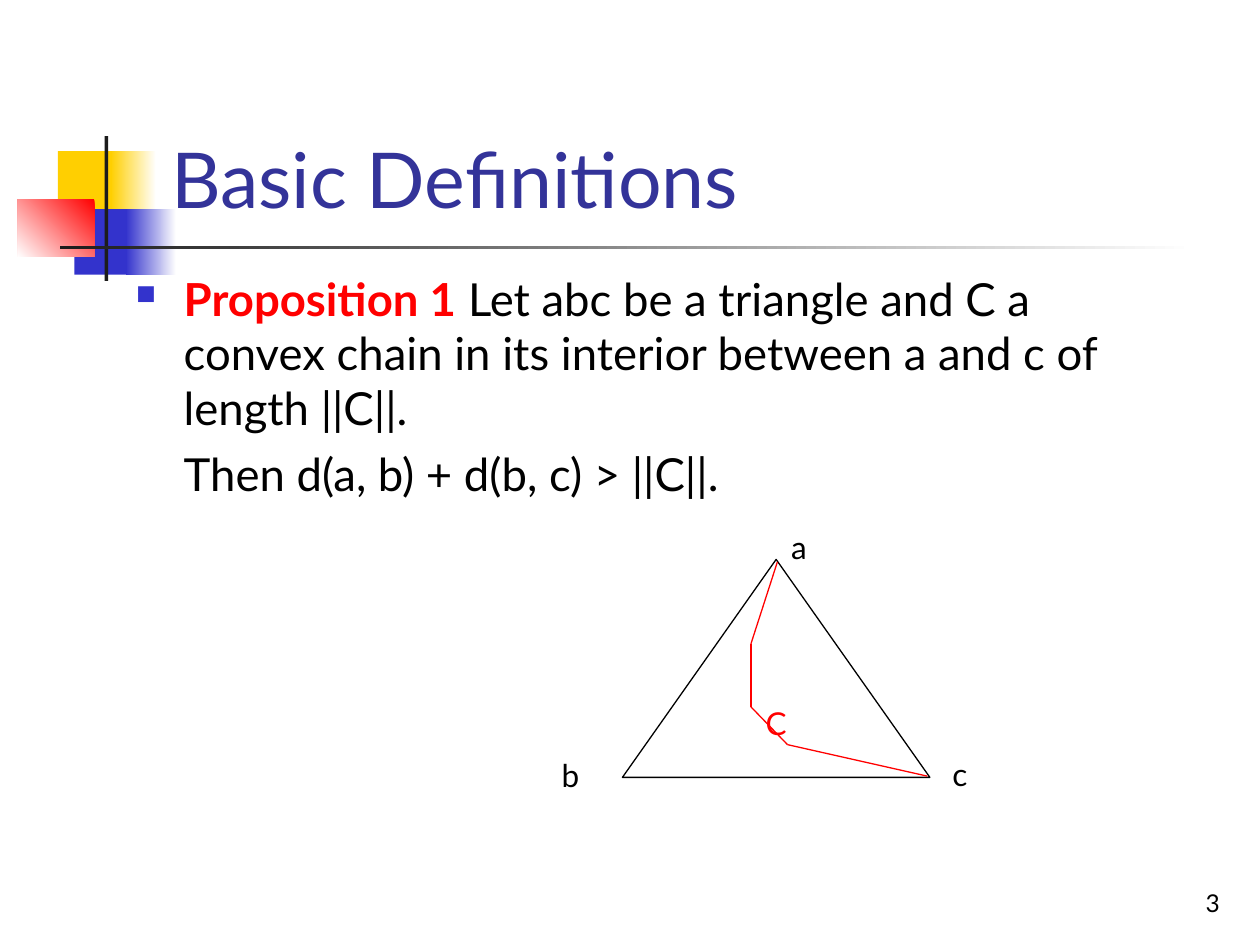
"""Build the "Basic Definitions" slide with a triangle and a convex chain."""
from itertools import pairwise

from lxml import etree
from pptx import Presentation
from pptx.dml.color import RGBColor
from pptx.enum.shapes import MSO_CONNECTOR, MSO_SHAPE
from pptx.enum.text import MSO_ANCHOR, PP_ALIGN
from pptx.oxml.ns import qn
from pptx.util import Inches, Pt

RECTANGLE = MSO_SHAPE.RECTANGLE
TRIANGLE = MSO_SHAPE.ISOSCELES_TRIANGLE
STRAIGHT = MSO_CONNECTOR.STRAIGHT
TOP, MIDDLE, BOTTOM = MSO_ANCHOR.TOP, MSO_ANCHOR.MIDDLE, MSO_ANCHOR.BOTTOM
LEFT, CENTER, RIGHT = PP_ALIGN.LEFT, PP_ALIGN.CENTER, PP_ALIGN.RIGHT

WHITE = RGBColor(0xFF, 0xFF, 0xFF)
BLACK = RGBColor(0x00, 0x00, 0x00)
RED = RGBColor(0xFF, 0x00, 0x00)
YELLOW = RGBColor(0xFF, 0xCF, 0x01)
BLUE = RGBColor(0x33, 0x33, 0xCC)
TITLE_BLUE = RGBColor(0x33, 0x33, 0x99)
CHARCOAL = RGBColor(0x1C, 0x1C, 0x1C)
FONT = "Lato"

ORNAMENTS = [
    ((0.46, 1.2, 0.48, 0.52), [YELLOW], None),
    ((0.88, 1.2, 0.36, 0.52), [WHITE, YELLOW], 180),
    ((0.59, 1.66, 0.46, 0.52), [BLUE], None),
    ((1, 1.66, 0.4, 0.52), [WHITE, BLUE], 180),
    ((0.14, 1.58, 0.61, 0.46), [RED, WHITE], 225),
    ((0.83, 1.08, 0.03, 1.15), [CHARCOAL], None),
    ((0.48, 1.95, 9, 0.03), [WHITE, CHARCOAL], 180),
]
TITLE = "Basic Definitions"
PROPOSITION = [
    ("Proposition 1", RED, True),
    (" Let abc be a triangle and C a convex chain in its interior "
     "between a and c of length ||C||.", BLACK, False),
]
CONCLUSION = [("Then d(a, b) + d(b, c) > ||C||.", BLACK, False)]
TRIANGLE_BOX = (4.94, 4.44, 2.44, 1.73)
CHAIN_LABEL = "C"
VERTEX_LABELS = [
    ("a", (6.18, 4.14, 0.34, 0.4)),
    ("b", (4.36, 5.95, 0.35, 0.4)),
    ("c", (7.46, 5.94, 0.32, 0.4)),
]
CHAIN = [(6.17, 4.46), (5.96, 5.11), (5.96, 5.61), (6.25, 5.91), (7.36, 6.16)]
SLIDE_NUMBER = "3"


def inches(values):
    return [Inches(value) for value in values]


def style_font(font, size, color, bold=False):
    font.name = FONT
    font.size = Pt(size)
    font.bold = bold
    font.color.rgb = color


def write_text(shape, text, size, color, anchor=TOP, alignment=LEFT, wrap=True):
    frame = shape.text_frame
    frame.text = text
    frame.word_wrap = wrap
    frame.vertical_anchor = anchor
    paragraph = frame.paragraphs[0]
    paragraph.alignment = alignment
    style_font(paragraph.runs[0].font, size, color)


def add_ornament(slide, box, colors, angle):
    shape = slide.shapes.add_shape(RECTANGLE, *inches(box))
    shape.shadow.inherit = False
    shape.line.fill.background()
    if angle is None:
        shape.fill.solid()
        shape.fill.fore_color.rgb = colors[0]
        return
    shape.fill.gradient()
    shape.fill.gradient_angle = angle
    for stop, color in zip(shape.fill.gradient_stops, colors):
        stop.color.rgb = color


def set_bullet(properties, character, color, percent):
    bullet_color = etree.SubElement(properties, qn("a:buClr"))
    etree.SubElement(bullet_color, qn("a:srgbClr"), val=str(color))
    etree.SubElement(properties, qn("a:buSzPct"), val=str(percent * 1000))
    etree.SubElement(properties, qn("a:buChar"), char=character)


def add_body(slide):
    frame = slide.shapes.add_textbox(*inches((0.98, 2.1, 8.5, 4.5))).text_frame
    frame.word_wrap = True
    first, second = frame.paragraphs[0], frame.add_paragraph()
    second.space_before = Pt(6.5)
    for paragraph, parts, indent in ((first, PROPOSITION, -0.38), (second, CONCLUSION, 0)):
        properties = paragraph._p.get_or_add_pPr()
        properties.set("marL", str(Inches(0.38)))
        properties.set("indent", str(Inches(indent)))
        for text, color, bold in parts:
            run = paragraph.add_run()
            run.text = text
            style_font(run.font, 26, color, bold)
    set_bullet(first._p.get_or_add_pPr(), "■", BLUE, 60)


def add_diagram(slide):
    triangle = slide.shapes.add_shape(TRIANGLE, *inches(TRIANGLE_BOX))
    triangle.shadow.inherit = False
    triangle.fill.solid()
    triangle.fill.fore_color.rgb = WHITE
    triangle.line.color.rgb = BLACK
    triangle.line.width = Pt(0.75)
    write_text(triangle, CHAIN_LABEL, 18, RED, MIDDLE, CENTER, wrap=False)
    for label, box in VERTEX_LABELS:
        write_text(slide.shapes.add_textbox(*inches(box)), label, 18, BLACK, wrap=False)
    for start, end in pairwise(CHAIN):
        link = slide.shapes.add_connector(STRAIGHT, *inches(start + end))
        link.line.color.rgb = RED
        link.line.width = Pt(0.75)
        etree.SubElement(link._element.spPr, qn("a:effectLst"))


def main():
    presentation = Presentation()
    presentation.slide_width, presentation.slide_height = inches((10, 7.5))
    slide = presentation.slides.add_slide(presentation.slide_layouts[6])
    for ornament in ORNAMENTS:
        add_ornament(slide, *ornament)
    title = slide.shapes.add_textbox(*inches((1.26, 0.23, 8.52, 1.6)))
    write_text(title, TITLE, 44, TITLE_BLUE, BOTTOM)
    add_body(slide)
    add_diagram(slide)
    number = slide.shapes.add_textbox(*inches((7.7, 6.83, 2.08, 0.5)))
    write_text(number, SLIDE_NUMBER, 14, BLACK, BOTTOM, RIGHT)
    presentation.save("out.pptx")


if __name__ == "__main__":
    main()
